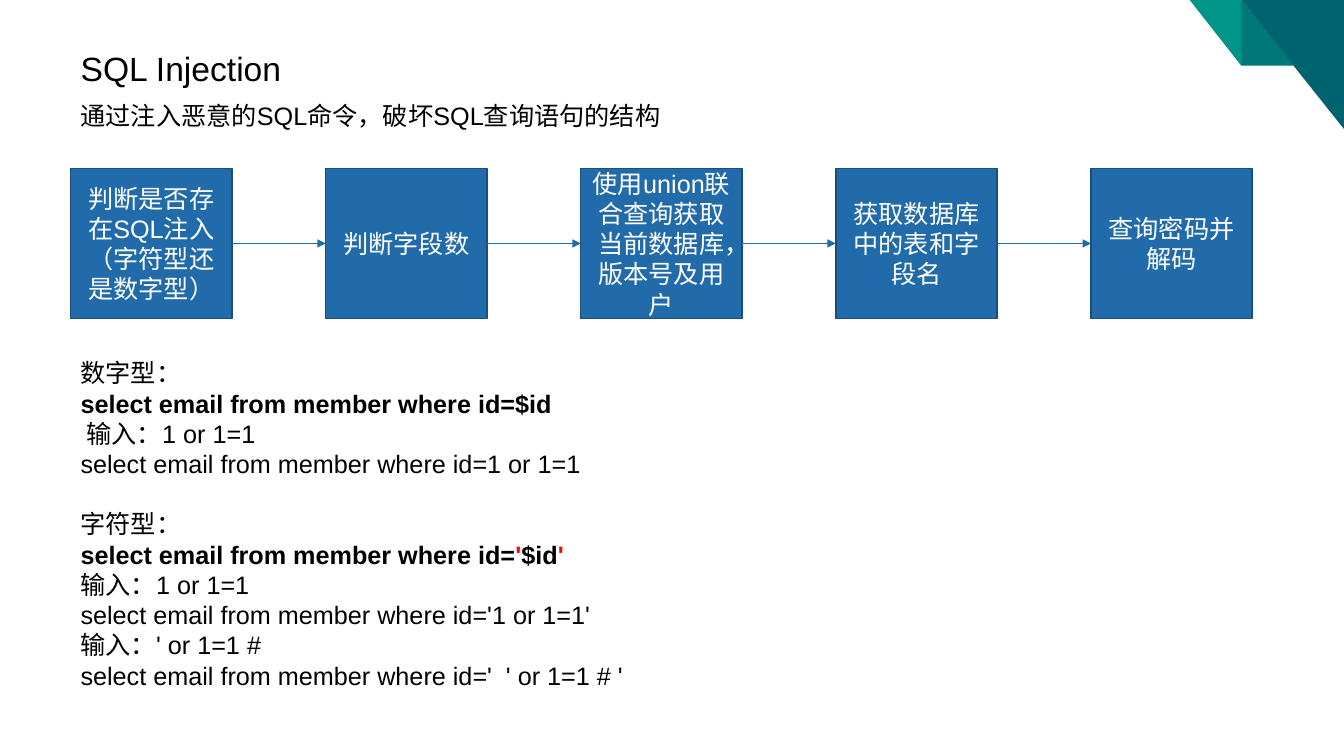
from dataclasses import dataclass

from pptx import Presentation
from pptx import util as u
from pptx.dml.color import RGBColor
from pptx.enum import shapes, text
from pptx.oxml.ns import qn
from lxml import etree

BLACK = RGBColor(0x00, 0x00, 0x00)
WHITE = RGBColor(0xFF, 0xFF, 0xFF)
RED = RGBColor(0xFF, 0x00, 0x00)
BLUE = RGBColor(0x22, 0x6B, 0xAB)
DARK_BLUE = RGBColor(0x19, 0x4F, 0x7F)
DEEP_TEAL = RGBColor(0x00, 0x64, 0x70)
MID_TEAL = RGBColor(0x00, 0x78, 0x7A)
LIGHT_TEAL = RGBColor(0x00, 0x95, 0x89)
FONT = "Arial"

STEP_LEFT, STEP_TOP = 0.7, 1.67
STEP_WIDTH, STEP_HEIGHT = 1.6, 1.49
STEP_PITCH = 2.53


@dataclass
class Triangle:
    points: list[tuple[float, float]]
    color: RGBColor


@dataclass
class Line:
    runs: list[tuple[str, RGBColor]]
    bold: bool = False
    indent: float = 0
    space_before: float = 0


CORNER = [
    Triangle([(13.33, 0), (12.31, 0), (13.33, 1.28)], DEEP_TEAL),
    Triangle([(12.31, 0.65), (12.83, 0.65), (12.31, 0)], MID_TEAL),
    Triangle([(12.31, 0), (11.8, 0), (12.31, 0.65)], LIGHT_TEAL),
]

STEPS = [
    "判断是否存在SQL注入（字符型还是数字型）",
    "判断字段数",
    "使用union联合查询获取当前数据库，版本号及用户",
    "获取数据库中的表和字段名",
    "查询密码并解码",
]

QUERY = "select email from member where id="
EXAMPLES = [
    Line([("数字型：", BLACK)]),
    Line([(QUERY + "$id", BLACK)], bold=True),
    Line([("输入：1 or 1=1", BLACK)], indent=0.06),
    Line([(QUERY + "1 or 1=1", BLACK)]),
    Line([("字符型：", BLACK)], space_before=21.5),
    Line([(QUERY, BLACK), ("'", RED), ("$id", BLACK), ("'", RED)], bold=True),
    Line([("输入：1 or 1=1", BLACK)]),
    Line([(QUERY + "'1 or 1=1'", BLACK)]),
    Line([("输入：' or 1=1 #", BLACK)]),
    Line([(QUERY + "'  ' or 1=1 # '", BLACK)]),
]


def add_run(paragraph, content: str, *, size: float = 18, color: RGBColor = BLACK,
            bold: bool = False) -> None:
    run = paragraph.add_run()
    run.text = content
    run.font.name = FONT
    run.font.size = u.Pt(size)
    run.font.bold = bold
    run.font.color.rgb = color


def place(shape, left: float, top: float, width: float, height: float) -> None:
    shape.left, shape.top = u.Inches(left), u.Inches(top)
    shape.width, shape.height = u.Inches(width), u.Inches(height)


def fill_plain(shape, color: RGBColor) -> None:
    shape.shadow.inherit = False
    shape.fill.solid()
    shape.fill.fore_color.rgb = color
    shape.line.fill.background()


def add_triangle(slide, triangle: Triangle) -> None:
    first, *others = [(u.Inches(x), u.Inches(y)) for x, y in triangle.points]
    builder = slide.shapes.build_freeform(*first)
    builder.add_line_segments(others, close=True)
    fill_plain(builder.convert_to_shape(), triangle.color)


def add_title(slide, content: str) -> None:
    title = slide.shapes.title
    place(title, 0.7, 0.43, 3.63, 0.5)
    frame = title.text_frame
    frame.auto_size = text.MSO_AUTO_SIZE.NONE
    frame.vertical_anchor = text.MSO_ANCHOR.TOP
    paragraph = frame.paragraphs[0]
    paragraph.alignment = text.PP_ALIGN.LEFT
    add_run(paragraph, content, size=24)


def add_lines(slide, left: float, top: float, width: float, height: float,
              lines: list[Line]) -> None:
    box = slide.shapes.add_textbox(
        u.Inches(left), u.Inches(top), u.Inches(width), u.Inches(height))
    frame = box.text_frame
    frame.word_wrap = True
    for index, line in enumerate(lines):
        paragraph = frame.add_paragraph() if index else frame.paragraphs[0]
        if line.indent:
            paragraph._p.get_or_add_pPr().set("marL", str(u.Inches(line.indent)))
        if line.space_before:
            paragraph.space_before = u.Pt(line.space_before)
        for content, color in line.runs:
            add_run(paragraph, content, color=color, bold=line.bold)


def add_step(slide, index: int, content: str):
    shape = slide.shapes.add_shape(
        shapes.MSO_SHAPE.RECTANGLE, u.Inches(STEP_LEFT + index * STEP_PITCH),
        u.Inches(STEP_TOP), u.Inches(STEP_WIDTH), u.Inches(STEP_HEIGHT))
    fill_plain(shape, BLUE)
    shape.line.color.rgb = DARK_BLUE
    shape.line.width = u.Pt(1)
    frame = shape.text_frame
    frame.word_wrap = True
    frame.vertical_anchor = text.MSO_ANCHOR.MIDDLE
    paragraph = frame.paragraphs[0]
    paragraph.alignment = text.PP_ALIGN.CENTER
    add_run(paragraph, content, color=WHITE)
    return shape


def add_arrow(slide, source, target) -> None:
    connector = slide.shapes.add_connector(shapes.MSO_CONNECTOR.STRAIGHT, 0, 0, 0, 0)
    connector.begin_connect(source, 3)
    connector.end_connect(target, 1)
    connector.line.color.rgb = BLUE
    connector.line.width = u.Pt(0.5)
    etree.SubElement(connector.line._get_or_add_ln(), qn("a:tailEnd"), type="triangle")
    etree.SubElement(connector._element.spPr, qn("a:effectLst"))


def main() -> None:
    presentation = Presentation()
    presentation.slide_width = u.Inches(13.33)
    presentation.slide_height = u.Inches(7.5)
    slide = presentation.slides.add_slide(presentation.slide_layouts[5])

    for triangle in CORNER:
        add_triangle(slide, triangle)
    add_title(slide, "SQL Injection")
    add_lines(slide, 0.7, 0.95, 6.76, 0.4,
              [Line([("通过注入恶意的SQL命令，破坏SQL查询语句的结构", BLACK)])])

    steps = [add_step(slide, index, content) for index, content in enumerate(STEPS)]
    for source, target in zip(steps, steps[1:]):
        add_arrow(slide, source, target)
    add_lines(slide, 0.7, 3.5, 11.89, 3.43, EXAMPLES)

    presentation.save("out.pptx")


if __name__ == "__main__":
    main()
